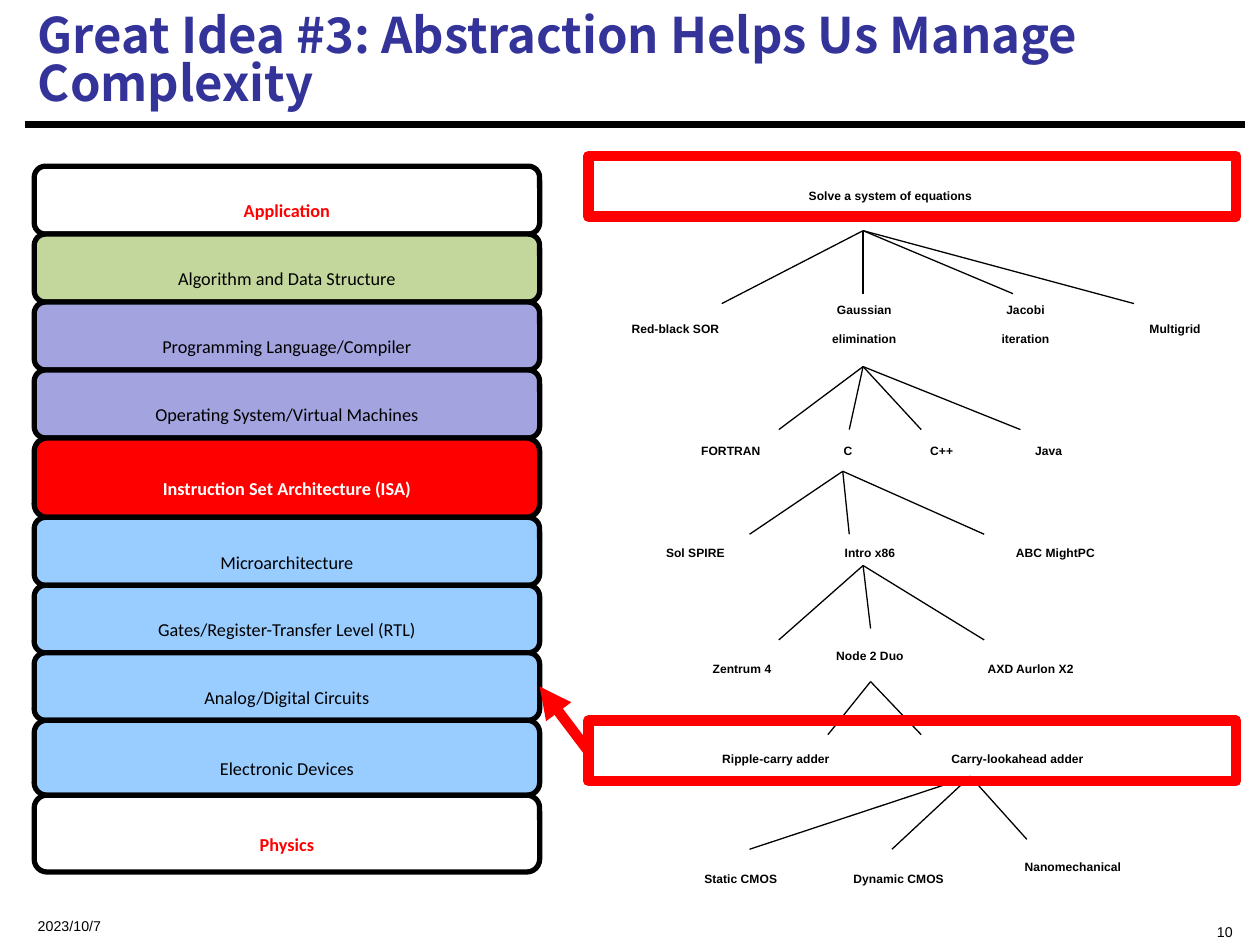
"""Build a slide that pairs the layers of computing with a tree of design choices."""
import pptx
import pptx.dml.color
import pptx.enum.shapes
import pptx.enum.text
import pptx.oxml
import pptx.oxml.ns
import pptx.util

Cm = pptx.util.Cm
Pt = pptx.util.Pt
RGBColor = pptx.dml.color.RGBColor
ALIGN = pptx.enum.text.PP_ALIGN
ANCHOR = pptx.enum.text.MSO_ANCHOR
AUTO_SIZE = pptx.enum.text.MSO_AUTO_SIZE
SHAPE = pptx.enum.shapes.MSO_SHAPE
CONNECTOR = pptx.enum.shapes.MSO_CONNECTOR

BLACK = RGBColor(0x00, 0x00, 0x00)
WHITE = RGBColor(0xFF, 0xFF, 0xFF)
RED = RGBColor(0xFF, 0x00, 0x00)
INDIGO = RGBColor(0x33, 0x33, 0x99)
GREEN = RGBColor(0xC3, 0xD6, 0x9B)
LILAC = RGBColor(0xA3, 0xA3, 0xE0)
SKY = RGBColor(0x99, 0xCC, 0xFF)

TITLE = "Great Idea #3: Abstraction Helps Us Manage Complexity"
DATE = "2023/10/7"
PAGE = "10"

LAYERS = [
    ("Application", 1.37, WHITE, RED, True),
    ("Algorithm and Data Structure", 1.37, GREEN, BLACK, False),
    ("Programming Language/Compiler", 1.37, LILAC, BLACK, False),
    ("Operating System/Virtual Machines", 1.37, LILAC, BLACK, False),
    ("Instruction Set Architecture (ISA)", 1.6, RED, WHITE, True),
    ("Microarchitecture", 1.37, SKY, BLACK, False),
    ("Gates/Register-Transfer Level (RTL)", 1.36, SKY, BLACK, False),
    ("Analog/Digital Circuits", 1.36, SKY, BLACK, False),
    ("Electronic Devices", 1.51, SKY, BLACK, False),
    ("Physics", 1.55, WHITE, RED, True),
]
STACK_LEFT, STACK_TOP, STACK_WIDTH = 0.69, 3.35, 10.19

CHOICES = [
    (3.38, [("Solve a system of equations", 14.27, 7.37)]),
    (5.69, [("Gaussian\nelimination", 15.8, 3.25), ("Jacobi\niteration", 19.38, 2.59)]),
    (6.07, [("Red-black SOR", 11.51, 4.22), ("Multigrid", 22.33, 2.72)]),
    (8.53, [("FORTRAN", 13.21, 3.05), ("C", 16.61, 0.97),
            ("C++", 18.21, 1.55), ("Java", 20.29, 1.7)]),
    (10.59, [("Sol SPIRE", 12.32, 3.4), ("Intro x86", 16.23, 2.62),
             ("ABC MightPC", 19.35, 3.86)]),
    (12.67, [("Node 2 Duo", 15.9, 3.28)]),
    (12.93, [("Zentrum 4", 13.46, 3), ("AXD Aurlon X2", 18.67, 4.22)]),
    (14.73, [("Ripple-carry adder", 13.13, 5.03), ("Carry-lookahead adder", 17.48, 6.07)]),
    (16.92, [("Nanomechanical", 19.33, 4.6)]),
    (17.15, [("Static CMOS", 13.13, 3.61), ("Dynamic CMOS", 15.95, 4.34)]),
]
BRANCHES = [
    ((17.4, 4.65), [(14.55, 6.12), (17.4, 5.92), (20.42, 5.92), (22.86, 6.12)]),
    ((17.4, 7.39), [(15.7, 8.66), (17.12, 8.66), (18.57, 8.66), (20.57, 8.66)]),
    ((16.99, 9.5), [(15.11, 10.77), (17.12, 10.77), (19.84, 10.77)]),
    ((17.4, 11.4), [(15.7, 12.9), (17.55, 12.67), (19.84, 12.9)]),
    ((17.55, 13.74), [(16.69, 14.81), (18.57, 14.81)]),
    ((19.56, 15.65), [(15.11, 17.12), (17.98, 17.12), (20.7, 16.92)]),
]
HIGHLIGHT_TOPS = {"problem": 3.15, "circuits": 14.53}


def add_words(frame, words, size, font, color, bold=False, align=ALIGN.LEFT, lowered=True):
    for row, line in enumerate(words.split("\n")):
        paragraph = frame.add_paragraph() if row else frame.paragraphs[0]
        paragraph.alignment = align
        run = paragraph.add_run()
        run.text = line
        run.font.size = Pt(size)
        run.font.name = font
        run.font.bold = bold
        run.font.color.rgb = color
        properties = run._r.get_or_add_rPr()
        if lowered:
            properties.set("baseline", "-25000")
        east_asian = pptx.oxml.parse_xml(
            f'<a:ea {pptx.oxml.ns.nsdecls("a")} typeface="{font}"/>')
        properties.find(pptx.oxml.ns.qn("a:latin")).addnext(east_asian)


def add_line(shapes, start, end, color, width):
    line = shapes.add_connector(CONNECTOR.STRAIGHT, *map(Cm, start + end))
    line.line.color.rgb = color
    line.line.width = Pt(width)
    line._element.spPr.append(
        pptx.oxml.parse_xml(f'<a:effectLst {pptx.oxml.ns.nsdecls("a")}/>'))
    return line


def add_box(shapes, kind, place, color, width, fill=None):
    box = shapes.add_shape(kind, *map(Cm, place))
    box.shadow.inherit = False
    box.line.color.rgb = color
    box.line.width = Pt(width)
    if fill is None:
        box.fill.background()
    else:
        box.fill.solid()
        box.fill.fore_color.rgb = fill
    return box


def add_heading(slide):
    heading = slide.shapes.title
    heading.left, heading.top, heading.width, heading.height = map(Cm, (0.51, 0.2, 24.56, 2.13))
    frame = heading.text_frame
    frame.word_wrap = True
    frame.auto_size = AUTO_SIZE.NONE
    frame.vertical_anchor = ANCHOR.MIDDLE
    add_words(frame, TITLE, 28, "Noto Sans CJK SC", INDIGO, True, lowered=False)
    frame.paragraphs[0].line_spacing = 0.83
    add_line(slide.shapes, (0.51, 2.51), (25.1, 2.51), BLACK, 3.75)


def add_footer(shapes):
    for words, left, width, align, anchor in [
        (DATE, 0.51, 6.35, ALIGN.LEFT, ANCHOR.MIDDLE),
        (PAGE, 17.48, 7.62, ALIGN.RIGHT, ANCHOR.TOP),
    ]:
        frame = shapes.add_textbox(Cm(left), Cm(18.16), Cm(width), Cm(0.69)).text_frame
        frame.word_wrap = True
        frame.vertical_anchor = anchor
        add_words(frame, words, 14, "Arial", BLACK, align=align)


def add_tree(shapes):
    for top, labels in CHOICES:
        for words, left, width in labels:
            height = 1.3 if "\n" in words else 0.76
            frame = shapes.add_textbox(Cm(left), Cm(top), Cm(width), Cm(height)).text_frame
            frame.word_wrap = False
            frame.auto_size = AUTO_SIZE.SHAPE_TO_FIT_TEXT
            add_words(frame, words, 12, "Arial", BLACK, True, ALIGN.CENTER)
    for parent, children in BRANCHES:
        for child in children:
            add_line(shapes, parent, child, BLACK, 0.75)


def add_layers(shapes):
    layers = {}
    top = STACK_TOP
    for words, height, fill, color, bold in LAYERS:
        place = (STACK_LEFT, top, STACK_WIDTH, height)
        layer = add_box(shapes, SHAPE.ROUNDED_RECTANGLE, place, BLACK, 3, fill)
        frame = layer.text_frame
        frame.word_wrap = False
        frame.vertical_anchor = ANCHOR.MIDDLE
        add_words(frame, words, 18, "Calibri", color, bold, ALIGN.CENTER)
        layers[words] = layer
        top += height
    return layers


def main():
    deck = pptx.Presentation()
    deck.slide_width, deck.slide_height = Cm(25.4), Cm(19.05)
    slide = deck.slides.add_slide(deck.slide_layouts[5])
    shapes = slide.shapes
    add_heading(slide)
    add_footer(shapes)
    add_tree(shapes.add_group_shape().shapes)
    highlights = {
        subject: add_box(shapes, SHAPE.RECTANGLE, (11.86, top, 13.06, 1.22), RED, 6)
        for subject, top in HIGHLIGHT_TOPS.items()
    }
    layers = add_layers(shapes.add_group_shape().shapes)
    pointer = add_line(shapes, (11.86, 15.14), (10.88, 13.84), RED, 6)
    pointer.begin_connect(highlights["circuits"], 1)
    pointer.end_connect(layers["Analog/Digital Circuits"], 3)
    pointer.line._get_or_add_ln().append(
        pptx.oxml.parse_xml(f'<a:tailEnd {pptx.oxml.ns.nsdecls("a")} type="triangle"/>'))
    deck.save("out.pptx")


if __name__ == "__main__":
    main()
